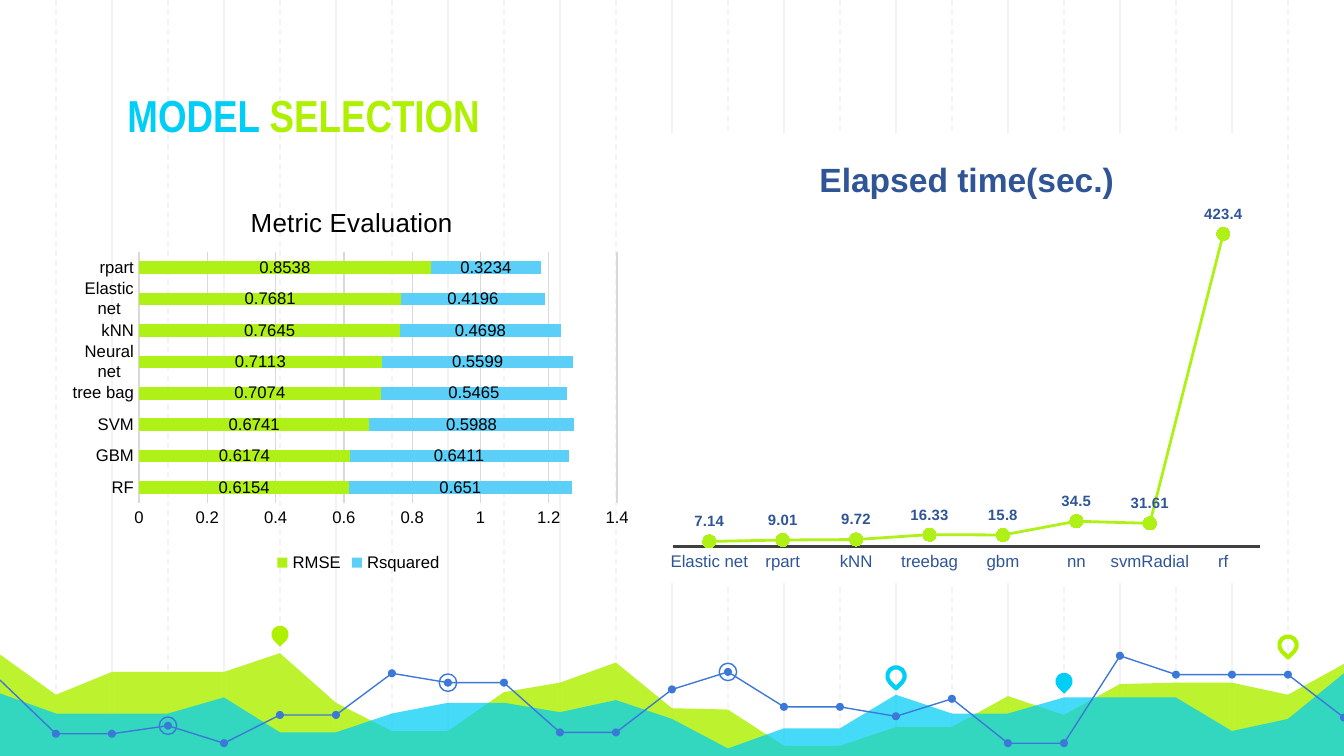
from lxml import etree
from pptx import Presentation
from pptx.chart.data import CategoryChartData
from pptx.dml.color import RGBColor
from pptx.enum.chart import (XL_CHART_TYPE, XL_LABEL_POSITION, XL_LEGEND_POSITION,
                             XL_MARKER_STYLE, XL_TICK_LABEL_POSITION, XL_TICK_MARK)
from pptx.enum.dml import MSO_LINE
from pptx.enum.shapes import MSO_CONNECTOR, MSO_SHAPE
from pptx.enum.text import MSO_ANCHOR
from pptx.oxml import parse_xml
from pptx.oxml.ns import qn
from pptx.util import Inches, Pt

LINE, BAR = XL_CHART_TYPE.LINE_MARKERS, XL_CHART_TYPE.BAR_STACKED
OVAL, DROP = MSO_SHAPE.OVAL, MSO_SHAPE.TEAR
NO_TICK = XL_TICK_MARK.NONE
BESIDE = XL_TICK_LABEL_POSITION.NEXT_TO_AXIS

LIME = RGBColor(0xAF, 0xF0, 0x00)
CYAN = RGBColor(0x00, 0xCE, 0xF6)
BLUE = RGBColor(0x3C, 0x78, 0xD8)
NAVY = RGBColor(0x2F, 0x55, 0x97)
GREEN = RGBColor(0xAF, 0xF1, 0x16)
SKY = RGBColor(0x5B, 0xCF, 0xF7)
BLACK = RGBColor(0, 0, 0)
DARK = RGBColor(0x40, 0x40, 0x40)
GREY = RGBColor(0xD9, 0xD9, 0xD9)
PALE = RGBColor(0xF3, 0xF3, 0xF3)

# A 16:9 slide in 24 columns
deck = Presentation()
deck.slide_width, deck.slide_height = Inches(10), Inches(10) * 9 // 16
W, H = deck.slide_width, deck.slide_height
COL = W / 24
slide = deck.slides.add_slide(deck.slide_layouts[6])
shapes = slide.shapes


def paint(shape, fill=None, line=None, width=0.75):
    shape.shadow.inherit = False
    if fill is None:
        shape.fill.background()
    else:
        shape.fill.solid()
        shape.fill.fore_color.rgb = fill
    if line is None:
        shape.line.fill.background()
    else:
        shape.line.color.rgb = line
        shape.line.width = Pt(width)


def place(node, **share):
    """Pin a chart part at the given shares of its chart."""
    for old in node.findall(qn("c:layout")):
        node.remove(old)
    layout = etree.Element(qn("c:layout"))
    man = etree.SubElement(layout, qn("c:manualLayout"))
    if "w" in share:
        etree.SubElement(man, qn("c:layoutTarget")).set("val", "inner")
    for key in "xy":
        etree.SubElement(man, qn(f"c:{key}Mode")).set("val", "edge")
    for key, val in share.items():
        etree.SubElement(man, qn(f"c:{key}")).set("val", str(val))
    text = node.find(qn("c:tx"))
    if text is None:
        node.insert(0, layout)
    else:
        text.addnext(layout)


# Column rules: solid on even columns, dashed on odd
for start in (2, 1):
    for col in range(start, 24, 2):
        x = round(col * COL)
        rule = shapes.add_connector(MSO_CONNECTOR.STRAIGHT, x, 0, x, H)
        rule.line.color.rgb = PALE
        rule.line.width = Pt(0.75)
        if start == 1:
            rule.line.dash_style = MSO_LINE.DASH
        etree.SubElement(rule._element.spPr, qn("a:effectLst"))

# Hills: one height per column
HILLS = (
    (LIME, 82, (4.87, 5.17, 5, 5, 5, 4.86, 5.23, 5.44, 5.44, 5.15, 5.08, 4.93, 5.27,
                5.28, 5.55, 5.55, 5.41, 5.41, 5.18, 5.32, 5.09, 5.08, 5.08, 5.17, 4.94)),
    (CYAN, 73, (5.16, 5.31, 5.31, 5.31, 5.19, 5.45, 5.45, 5.31, 5.23, 5.23, 5.3, 5.21, 5.35,
                5.57, 5.42, 5.42, 5.17, 5.31, 5.31, 5.19, 5.19, 5.19, 5.44, 5.35, 5.01)),
)
for tint, alpha, tops in HILLS:
    pen = shapes.build_freeform(0, H)
    pen.add_line_segments([(round(i * COL), Inches(y)) for i, y in enumerate(tops)] + [(W, H)])
    hill = pen.convert_to_shape()
    paint(hill, tint)
    shade = hill._element.spPr.find(qn("a:solidFill"))[0]
    etree.SubElement(shade, qn("a:alpha")).set("val", str(alpha * 1000))

# Trail with dots and rings
TRAIL = (5.06, 5.46, 5.46, 5.4, 5.53, 5.32, 5.32, 5.01, 5.08, 5.08, 5.45, 5.45, 5.13,
         5, 5.26, 5.26, 5.33, 5.2, 5.53, 5.53, 4.88, 5.02, 5.02, 5.02, 5.34)
spots = [(round(i * COL), Inches(y)) for i, y in enumerate(TRAIL)]
for first, last in ((0, 11), (11, 20), (20, 24)):
    pen = shapes.build_freeform(*spots[first])
    pen.add_line_segments(spots[first + 1:last + 1], close=False)
    paint(pen.convert_to_shape(), line=BLUE)
dot, ring = Inches(0.06), Inches(0.13)
for x, y in spots[1:]:
    paint(shapes.add_shape(OVAL, x - dot // 2, y - dot // 2, dot, dot), BLUE)
for col in (3, 8, 13):
    x, y = spots[col]
    paint(shapes.add_shape(OVAL, x - ring // 2, y - ring // 2, ring, ring), line=BLUE)

# Map pins
for col, y, fill, line in ((5, 4.72, LIME, None), (16, 5.03, None, CYAN),
                           (19, 5.07, CYAN, None), (23, 4.8, None, LIME)):
    pin = shapes.add_shape(DROP, round(col * COL) - ring // 2, Inches(y) - ring // 2, ring, ring)
    pin.rotation = 135
    paint(pin, fill, line, 2.25)

# Heading
frame = shapes.add_textbox(Inches(0.85), Inches(0.68), Inches(3.55), Inches(0.47)).text_frame
frame.word_wrap = True
frame.vertical_anchor = MSO_ANCHOR.BOTTOM
frame.margin_top = frame.margin_bottom = Inches(0.1)
for word, tint in (("MODEL ", CYAN), ("SELECTION", LIME)):
    run = frame.paragraphs[0].add_run()
    run.text = word
    run.font.name, run.font.size, run.font.bold = "Arial Narrow", Pt(24), True
    run.font.color.rgb = tint

# Charts
TIME = (("Elapsed time(sec.)", GREEN, (7.14, 9.01, 9.72, 16.33, 15.8, 34.5, 31.61, 423.4)),)
SCORE = (
    ("RMSE", GREEN, (0.6154, 0.6174, 0.6741, 0.7074, 0.7113, 0.7645, 0.7681, 0.8538)),
    ("Rsquared", SKY, (0.651, 0.6411, 0.5988, 0.5465, 0.5599, 0.4698, 0.4196, 0.3234)),
)
TIME_CATS = ("Elastic net", "rpart", "kNN", "treebag", "gbm", "nn", "svmRadial", "rf")
SCORE_CATS = ("RF", "GBM", "SVM", "tree bag", "Neural net", "kNN", "Elastic net", "rpart")
NS = ('xmlns:c="http://schemas.openxmlformats.org/drawingml/2006/chart" '
      'xmlns:a="http://schemas.openxmlformats.org/drawingml/2006/main"')
CLEAR = "<a:noFill/><a:ln><a:noFill/></a:ln>"
WHITE = '<a:solidFill><a:srgbClr val="FFFFFF"/></a:solidFill>'
PANEL = f'{WHITE}<a:ln w="6350">{WHITE}<a:prstDash val="sysDot"/></a:ln>'

charts = []
for kind, box, cats, rows, head, size, bold, ink, top, edge, back in (
        (LINE, (4.91, 0.99, 4.56, 3.35), TIME_CATS, TIME, "Elapsed time(sec.)",
         18, True, NAVY, 450, (DARK, 1.5), PANEL),
        (BAR, (0.54, 1.38, 4.22, 2.92), SCORE_CATS, SCORE, "Metric Evaluation",
         14, False, BLACK, 1.4, (GREY, 0.75), CLEAR)):
    data = CategoryChartData()
    data.categories = cats
    for name, _, vals in rows:
        data.add_series(name, vals)
    chart = shapes.add_chart(kind, *map(Inches, box), data).chart
    charts.append(chart)
    chart.font.name, chart.font.size = "Arial", Pt(10)
    chart.font.color.rgb = ink
    skin = parse_xml(f"<c:spPr {NS}>{back}</c:spPr>")
    chart._chartSpace.find(qn("c:txPr")).addprevious(skin)

    run = chart.chart_title.text_frame.paragraphs[0].add_run()
    run.text = head
    run.font.name, run.font.size, run.font.bold = "Arial", Pt(size), bold
    run.font.color.rgb = ink
    chart.chart_title.include_in_layout = False

    base, scale = chart.category_axis, chart.value_axis
    for axis in (base, scale):
        axis.major_tick_mark = axis.minor_tick_mark = NO_TICK
        axis.tick_label_position = BESIDE
        axis.tick_labels.font.size = Pt(9)
        axis.tick_labels.font.name = "Arial"
        axis.tick_labels.font.color.rgb = ink
    base.format.line.color.rgb, base.format.line.width = edge[0], Pt(edge[1])
    scale.minimum_scale, scale.maximum_scale = 0, top

    plot = chart.plots[0]
    plot.vary_by_categories = False
    for series, (_, tint, _) in zip(plot.series, rows):
        tags = series.data_labels
        tags.show_value = True
        tags.font.name, tags.font.size = "Arial", Pt(8 if kind == LINE else 9)
        tags.font.bold, tags.font.color.rgb = bold, ink
        if kind == LINE:
            series.smooth = False
            series.format.line.color.rgb, series.format.line.width = tint, Pt(1.5)
            series.marker.style, series.marker.size = XL_MARKER_STYLE.CIRCLE, 7
            series.marker.format.fill.solid()
            series.marker.format.fill.fore_color.rgb = SKY
            series.marker.format.line.color.rgb = tint
            tags.position = XL_LABEL_POSITION.ABOVE
        else:
            series.format.fill.solid()
            series.format.fill.fore_color.rgb = tint

# Time chart: no value axis or legend
time, score = charts
time.has_legend = False
time.value_axis.has_major_gridlines = False
time.value_axis.visible = False
place(time._chartSpace.chart.plotArea, x=0.02, y=0.18, w=0.96, h=0.74)
place(time.chart_title._element, x=0.25, y=0.04)

# Score chart: gridlines, legend below
score.plots[0].gap_width, score.plots[0].overlap = 150, 100
score.value_axis.major_unit = 0.2
score.value_axis.format.line.fill.background()
grid = score.value_axis.major_gridlines.format.line
grid.color.rgb, grid.width = GREY, Pt(0.75)
score.value_axis.tick_labels.number_format = "General"
score.value_axis.tick_labels.number_format_is_linked = False
score.has_legend = True
score.legend.position = XL_LEGEND_POSITION.BOTTOM
score.legend.include_in_layout = False
score.legend.font.size, score.legend.font.name = Pt(9), "Arial"
score.legend.font.color.rgb = BLACK
place(score._chartSpace.chart.plotArea, x=0.11, y=0.17, w=0.85, h=0.64)
place(score.chart_title._element, x=0.3, y=0.04)

deck.save("out.pptx")
